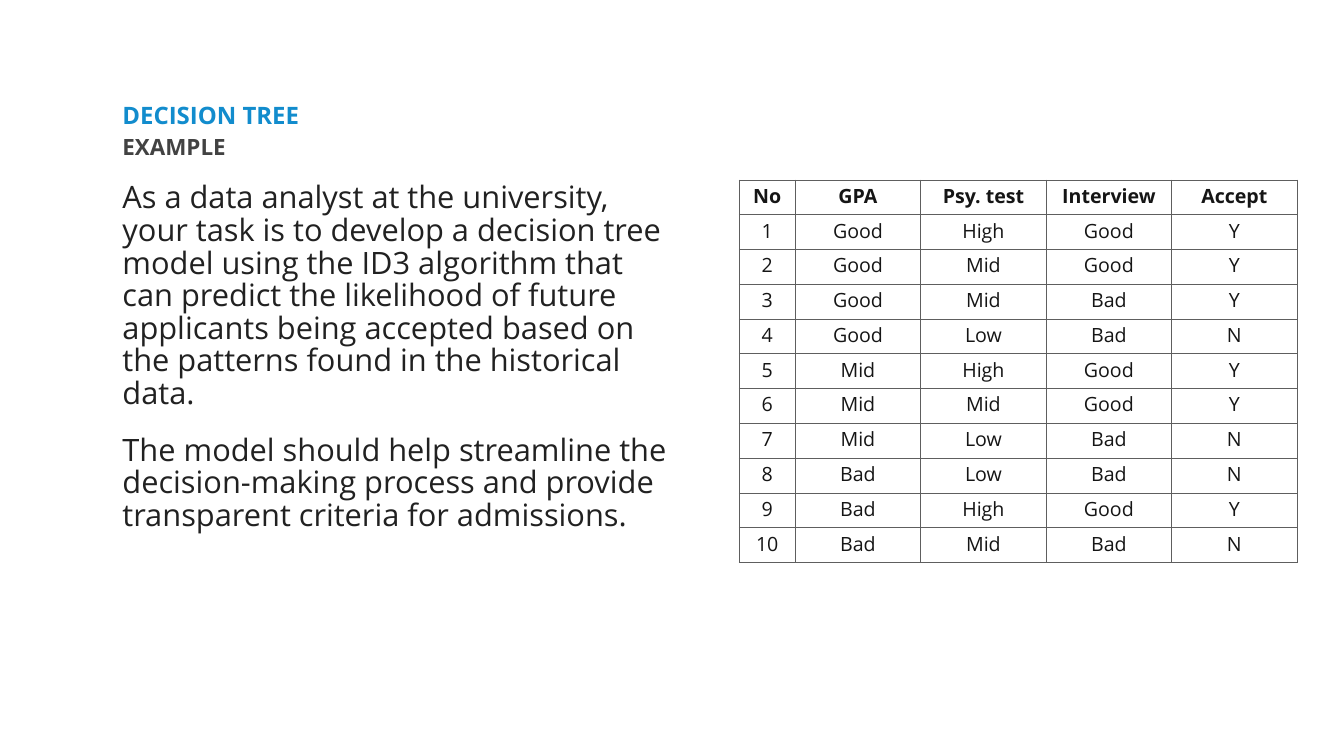
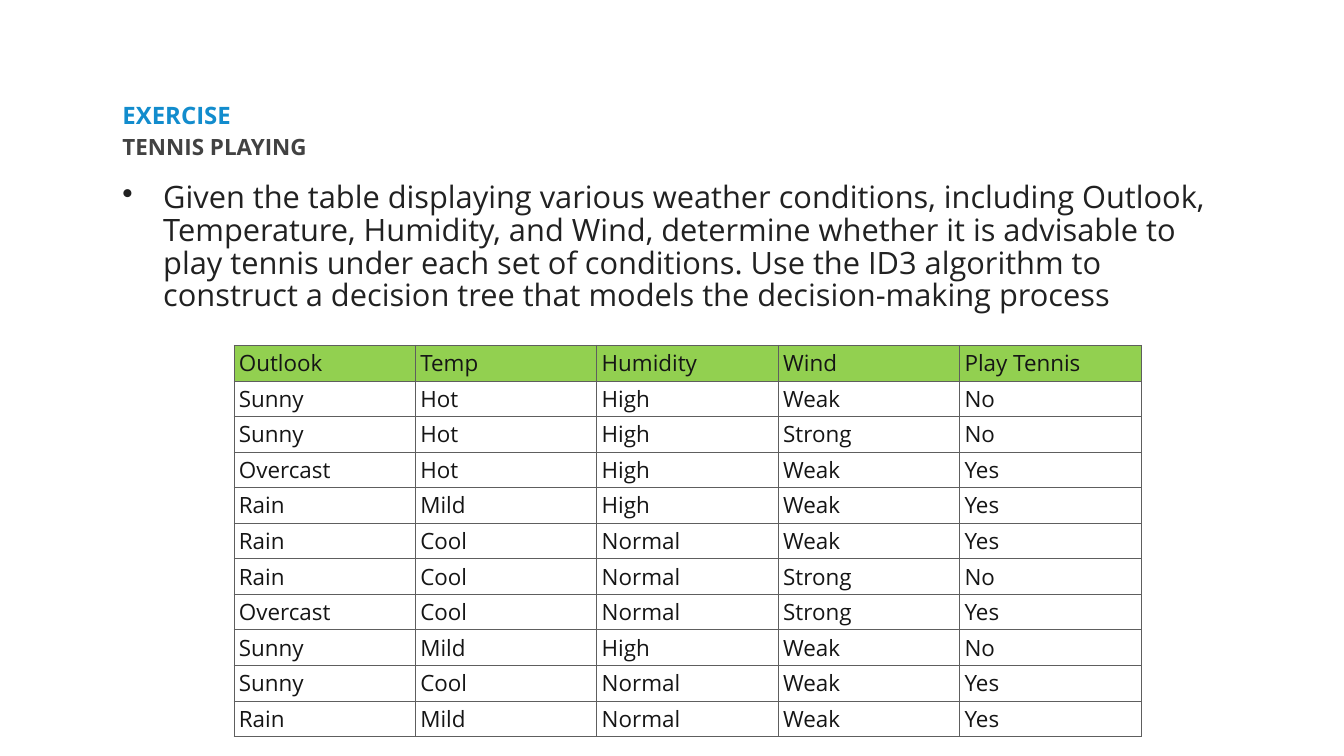
from lxml import etree
from pptx import Presentation
from pptx.dml.color import RGBColor
from pptx.enum import text as txt
from pptx.oxml import ns
from pptx.util import Inches, Pt

FONT = "Open Sans"
BLUE = RGBColor(0x12, 0x8C, 0xCD)
GRAY = RGBColor(0x42, 0x42, 0x42)
DARK = RGBColor(0x21, 0x21, 0x21)
INK = RGBColor(0x15, 0x15, 0x15)
RULE = RGBColor(0x5E, 0x5E, 0x5E)
GREEN = RGBColor(0x92, 0xD0, 0x50)
LEFT = 2.37

TASK = [
    "As a data analyst at the university, your task is to develop a decision tree "
    "model using the ID3 algorithm that can predict the likelihood of future "
    "applicants being accepted based on the patterns found in the historical data.",
    "The model should help streamline the decision-making process and provide "
    "transparent criteria for admissions.",
]
DRILL = [
    "Given the table displaying various weather conditions, including Outlook, "
    "Temperature, Humidity, and Wind, determine whether it is advisable to play "
    "tennis under each set of conditions. Use the ID3 algorithm to construct a "
    "decision tree that models the decision-making process",
]
GRADES = """No,GPA,Psy. test,Interview,Accept
1,Good,High,Good,Y
2,Good,Mid,Good,Y
3,Good,Mid,Bad,Y
4,Good,Low,Bad,N
5,Mid,High,Good,Y
6,Mid,Mid,Good,Y
7,Mid,Low,Bad,N
8,Bad,Low,Bad,N
9,Bad,High,Good,Y
10,Bad,Mid,Bad,N"""
DAYS = """Outlook,Temp,Humidity,Wind,Play Tennis
Sunny,Hot,High,Weak,No
Sunny,Hot,High,Strong,No
Overcast,Hot,High,Weak,Yes
Rain,Mild,High,Weak,Yes
Rain,Cool,Normal,Weak,Yes
Rain,Cool,Normal,Strong,No
Overcast,Cool,Normal,Strong,Yes
Sunny,Mild,High,Weak,No
Sunny,Cool,Normal,Weak,Yes
Rain,Mild,Normal,Weak,Yes"""


def add_run(para, words, size, color, bold=False):
    """Add one styled run to a paragraph."""
    run = para.add_run()
    run.text = words
    font = run.font
    font.name, font.size, font.bold = FONT, Pt(size), bold
    font.color.rgb = color


def set_frame(shape):
    """Give a text shape the shared insets, wrapping and anchor."""
    frame = shape.text_frame
    frame.word_wrap = True
    frame.auto_size = txt.MSO_AUTO_SIZE.NONE
    frame.vertical_anchor = txt.MSO_ANCHOR.TOP
    frame.margin_left = frame.margin_right = Inches(0.06)
    frame.margin_top = frame.margin_bottom = Inches(0.06)
    return frame


def add_box(slide, top, width, height):
    """Add a text box on the left margin and return its frame."""
    box = slide.shapes.add_textbox(
        Inches(LEFT), Inches(top), Inches(width), Inches(height))
    return set_frame(box)


def add_head(slide, title, sub):
    """Fill the title and add the subtitle below it."""
    shape = slide.shapes.title
    shape.left, shape.top = Inches(LEFT), Inches(2.05)
    shape.width, shape.height = Inches(16.09), Inches(0.56)
    para = set_frame(shape).paragraphs[0]
    para.alignment = txt.PP_ALIGN.LEFT
    para.line_spacing = 0.8
    add_run(para, title, 34.2, BLUE, True)
    para = add_box(slide, 2.65, 10.68, 0.88).paragraphs[0]
    para.line_spacing = 0.9
    add_run(para, sub, 32, GRAY, True)


def add_bullet(para):
    """Put a hanging round bullet on a paragraph."""
    props = para._p.get_or_add_pPr()
    props.set("marL", str(Inches(0.81)))
    props.set("indent", str(-Inches(0.81)))
    etree.SubElement(props, ns.qn("a:buChar")).set("char", "•")


def add_body(slide, width, paras, bullet=False):
    """Add the body paragraphs, with bullets if asked."""
    frame = add_box(slide, 3.57, width, 9.39)
    for i, words in enumerate(paras):
        para = frame.add_paragraph() if i else frame.paragraphs[0]
        if bullet:
            add_bullet(para)
        if i:
            para.space_before = Pt(35)
        para.line_spacing = 0.88
        add_run(para, words, 44, DARK)


def add_edges(cell):
    """Draw a thin rule on all four sides of a cell."""
    props = cell._tc.get_or_add_tcPr()
    for side in "LRTB":
        line = etree.SubElement(props, ns.qn(f"a:ln{side}"), w=str(Pt(1)))
        fill = etree.SubElement(line, ns.qn("a:solidFill"))
        etree.SubElement(fill, ns.qn("a:srgbClr"), val=str(RULE))


def add_grid(slide, data, left, top, cols, high, size,
             align=txt.PP_ALIGN.LEFT, anchor=txt.MSO_ANCHOR.TOP,
             bold=False, shade=None):
    """Add a ruled table whose first row may be bold or shaded."""
    rows = [line.split(",") for line in data.splitlines()]
    table = slide.shapes.add_table(
        len(rows), len(cols), Inches(left), Inches(top),
        Inches(sum(cols)), Inches(high * len(rows))).table
    table.first_row = table.horz_banding = False
    for col, width in zip(table.columns, cols):
        col.width = Inches(width)
    for r, row in enumerate(rows):
        table.rows[r].height = Inches(high)
        for c, words in enumerate(row):
            cell = table.cell(r, c)
            add_edges(cell)
            if shade and r == 0:
                cell.fill.solid()
                cell.fill.fore_color.rgb = shade
            else:
                cell.fill.background()
            cell.vertical_anchor = anchor
            para = cell.text_frame.paragraphs[0]
            para.alignment = align
            add_run(para, words, size, INK, bold and r == 0)


def main():
    """Build both slides and save them."""
    deck = Presentation()
    deck.slide_width, deck.slide_height = Inches(26.67), Inches(15)
    plain = deck.slide_layouts[5]

    slide = deck.slides.add_slide(plain)
    add_head(slide, "DECISION TREE", "EXAMPLE")
    add_body(slide, 10.97, TASK)
    add_grid(slide, GRADES, 14.67, 3.57, [1.11] + [2.49] * 4, 0.69, 28,
             align=txt.PP_ALIGN.CENTER, bold=True)

    slide = deck.slides.add_slide(plain)
    add_head(slide, "EXERCISE", "TENNIS PLAYING")
    add_body(slide, 21.94, DRILL, bullet=True)
    add_grid(slide, DAYS, 4.64, 6.85, [3.6] * 5, 0.7, 32,
             anchor=txt.MSO_ANCHOR.MIDDLE, shade=GREEN)

    deck.save("out.pptx")


if __name__ == "__main__":
    main()
